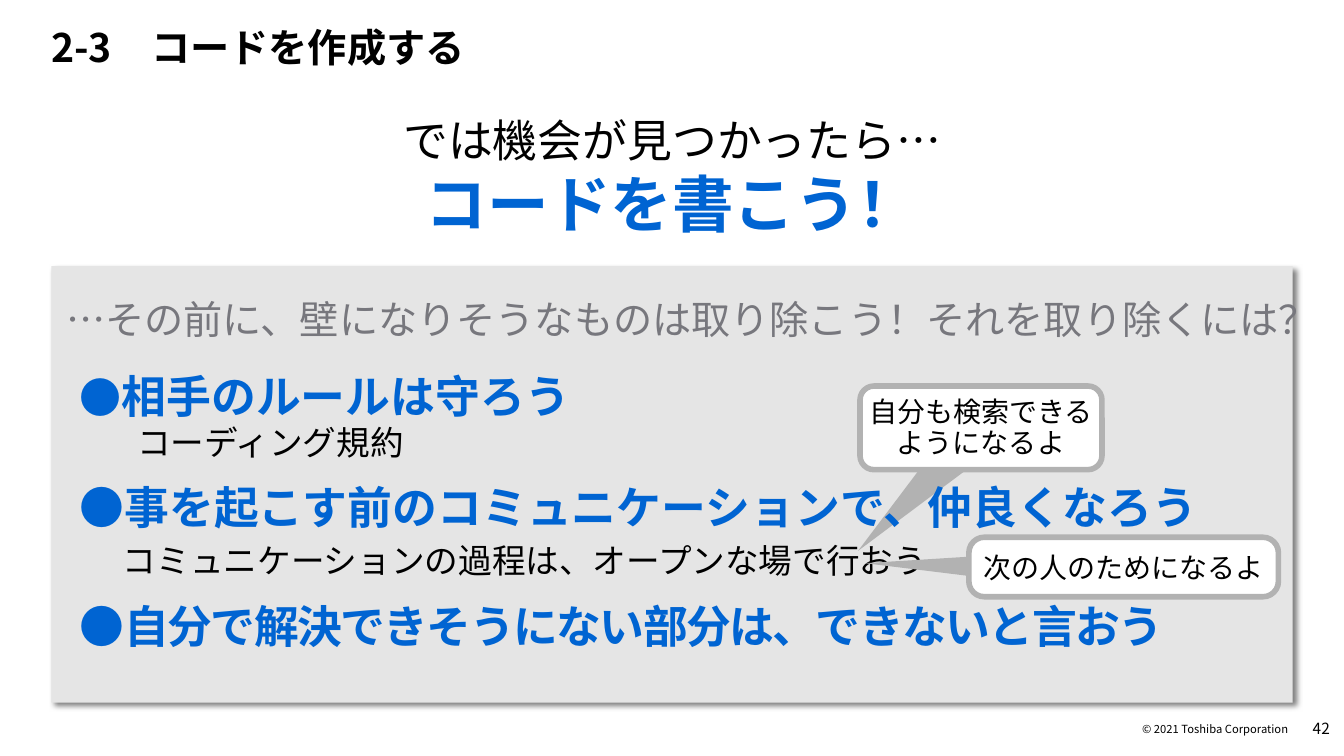
from lxml.etree import SubElement
from pptx import Presentation
from pptx.dml.color import RGBColor
from pptx.enum.shapes import MSO_SHAPE as Shape
from pptx.enum.text import MSO_ANCHOR as Anchor, PP_ALIGN as Align
from pptx.oxml.ns import qn
from pptx.util import Emu, Pt

EMU_PER_PX = 9144  # 100 px to the inch
SLIDE_SIZE = (1333, 750)
FONT = "Noto Sans CJK JP"

BLACK = RGBColor(0x00, 0x00, 0x00)
WHITE = RGBColor(0xFF, 0xFF, 0xFF)
BLUE = RGBColor(0x00, 0x64, 0xD2)
GREY_TEXT = RGBColor(0x77, 0x77, 0x7D)
PANEL_GREY = RGBColor(0xE5, 0xE5, 0xE5)
CALLOUT_GREY = RGBColor(0xB2, 0xB2, 0xB2)

# A run is (text, size, colour, bold[, letter spacing in points]);
# a paragraph is (runs, format values).
CENTRED = {"alignment": Align.CENTER}
RIGHT = {"alignment": Align.RIGHT}
BULLET = {"margin": 39, "indent": -24}

PAGE_NUMBER = [([("42", 11, BLACK, False)], RIGHT)]
COPYRIGHT = [([("© 2021 Toshiba Corporation", 8, BLACK, False)], RIGHT)]
TITLE = [([("2-3　コードを作成する", 28, BLACK, True)], {"line_spacing": 0.9})]
MESSAGE = [
    ([("では機会が見つかったら…", 32, BLACK, False)], CENTRED),
    ([("コードを書こう！", 44, BLUE, True)], CENTRED),
]
LEAD = [([("…その前に、壁になりそうなものは取り除こう！それを取り除くには？",
           28, GREY_TEXT, False)], CENTRED)]
RULES = [
    ([("●", 30, BLUE, True), ("相手のルールは守ろう", 32, BLUE, True)], BULLET),
    ([("コーディング規約", 24, BLACK, False)], {"margin": 72}),
    ([("●事を起こす前のコミュニケーションで、仲良くなろう", 32, BLUE, True)],
     BULLET | {"space_before": Pt(12)}),
    ([("コミュニケーションの過程は、オープンな場で行おう", 24, BLACK, False)],
     {"margin": 58, "space_before": Pt(5)}),
    ([("●", 32, BLUE, True),
      ("自分で解決できそうにない部分は、できないと言おう", 32, BLUE, True, -1.2)],
     BULLET | {"space_before": Pt(13)}),
]
SEARCH_NOTE = [([(line, 20, BLACK, False)], CENTRED | {"line_spacing": Pt(22)})
               for line in ("自分も検索できる", "ようになるよ")]
NEXT_PERSON_NOTE = [([("次の人のためになるよ", 20, BLACK, False)], CENTRED)]


def px(length):
    return Emu(length * EMU_PER_PX)


def write_text(shape, paragraphs, insets=(0, 0, 0, 0), anchor=Anchor.MIDDLE, wrap=True):
    frame = shape.text_frame
    left, top, right, bottom = map(px, insets)
    settings = {"margin_left": left, "margin_top": top, "margin_right": right,
                "margin_bottom": bottom, "vertical_anchor": anchor, "word_wrap": wrap}
    for name, value in settings.items():
        setattr(frame, name, value)
    for index, (runs, values) in enumerate(paragraphs):
        paragraph = frame.add_paragraph() if index else frame.paragraphs[0]
        properties = paragraph._p.get_or_add_pPr()
        for name, value in values.items():
            if name == "margin":
                properties.set("marL", str(px(value)))
            elif name == "indent":
                properties.set("indent", str(px(value)))
            else:
                setattr(paragraph, name, value)
        for text, size, colour, bold, *spacing in runs:
            add_run(paragraph, text, size, colour, bold, *spacing)


def add_run(paragraph, text, size, colour, bold, spacing=0):
    run = paragraph.add_run()
    run.text = text
    for name, value in {"size": Pt(size), "bold": bold, "name": FONT}.items():
        setattr(run.font, name, value)
    run.font.color.rgb = colour
    properties = run._r.get_or_add_rPr()
    SubElement(properties, qn("a:ea"), typeface=FONT)
    if spacing:
        properties.set("spc", str(round(spacing * 100)))


def add_text(slide, box, paragraphs, **options):
    write_text(slide.shapes.add_textbox(*map(px, box)), paragraphs, **options)


def add_filled(slide, kind, box, fill, adjustment=None, rotation=0):
    shape = slide.shapes.add_shape(kind, *map(px, box))
    shape.shadow.inherit = False
    shape.fill.solid()
    shape.fill.fore_color.rgb = fill
    shape.line.fill.background()
    shape.rotation = rotation
    if adjustment is not None:
        shape.adjustments[0] = adjustment
    return shape


def add_panel(slide, box):
    """Grey panel that casts a soft shadow to the lower right."""
    panel = add_filled(slide, Shape.RECTANGLE, box, PANEL_GREY)
    effects = panel._element.spPr.find(qn("a:effectLst"))
    shadow = SubElement(effects, qn("a:outerShdw"), blurRad=str(Pt(4)), dist=str(Pt(4)),
                        dir=str(45 * 60000), algn="tl", rotWithShape="0")
    colour = SubElement(shadow, qn("a:srgbClr"), val=str(BLACK))
    SubElement(colour, qn("a:alpha"), val="50000")


def add_tail(slide, box, adjustment, rotation):
    add_filled(slide, Shape.ISOSCELES_TRIANGLE, box, CALLOUT_GREY, adjustment, rotation)


def add_callout(slide, box, paragraphs, adjustment=None):
    callout = add_filled(slide, Shape.ROUNDED_RECTANGLE, box, WHITE, adjustment)
    callout.line.color.rgb = CALLOUT_GREY
    callout.line.width = Pt(4)
    write_text(callout, paragraphs, wrap=False)


def main():
    presentation = Presentation()
    presentation.slide_width, presentation.slide_height = map(px, SLIDE_SIZE)
    slide = presentation.slides.add_slide(presentation.slide_layouts[6])

    add_text(slide, (1273, 703, 46, 40), PAGE_NUMBER)
    add_text(slide, (1130, 717, 148, 13), COPYRIGHT, wrap=False)
    add_panel(slide, (51, 264, 1231, 433))
    add_text(slide, (0, 0, 1252, 82), TITLE, insets=(51, 12, 47, 12), anchor=Anchor.BOTTOM)
    add_text(slide, (52, 104, 1230, 142), MESSAGE)
    add_text(slide, (52, 294, 1230, 44), LEAD, wrap=False)
    add_tail(slide, (895, 415, 47, 162), adjustment=1, rotation=217)
    add_text(slide, (52, 365, 1230, 283), RULES, insets=(12, 0, 0, 0))
    add_callout(slide, (853, 383, 240, 83), SEARCH_NOTE)
    add_tail(slide, (920, 479, 28, 150), adjustment=0, rotation=277)
    add_callout(slide, (961, 533, 307, 59), NEXT_PERSON_NOTE, adjustment=0.26)

    presentation.save("out.pptx")


if __name__ == "__main__":
    main()
